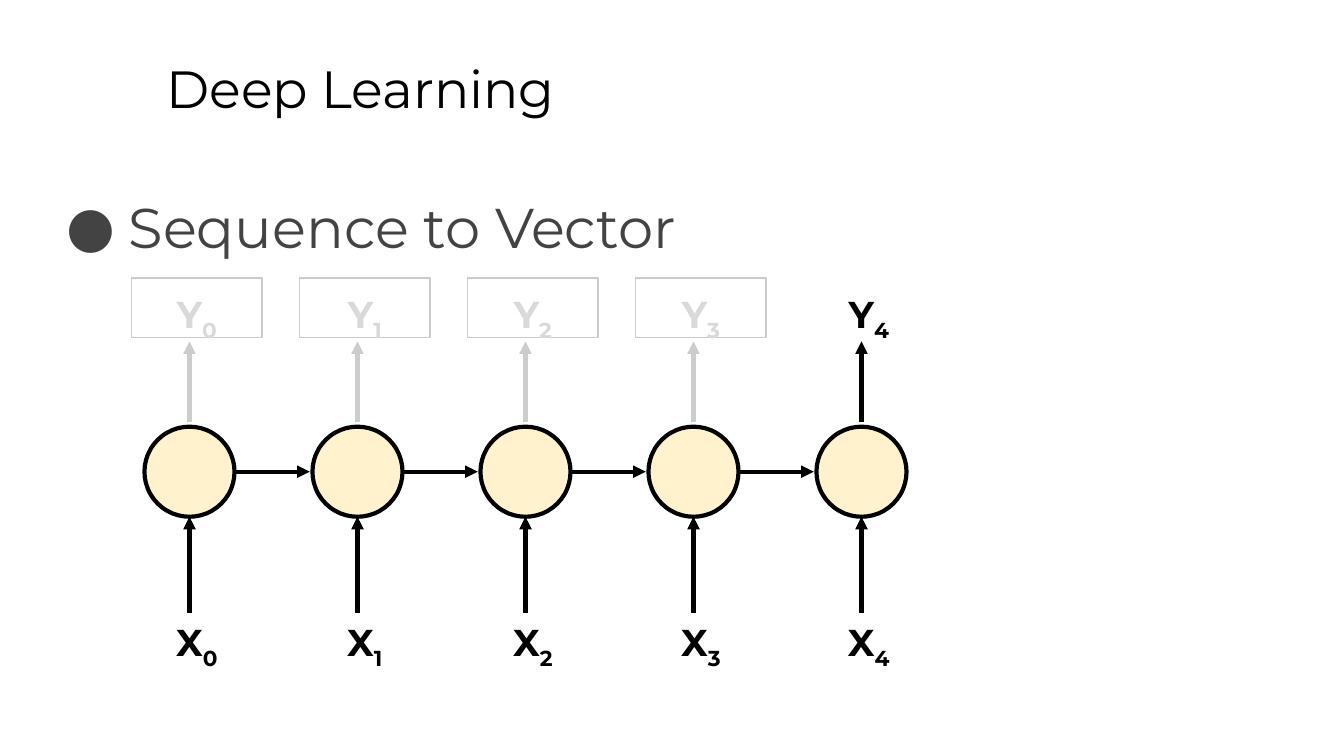
from lxml.etree import SubElement
from pptx import Presentation
from pptx.dml.color import RGBColor
from pptx.enum.shapes import MSO_CONNECTOR, MSO_SHAPE
from pptx.enum.text import MSO_ANCHOR, PP_ALIGN
from pptx.oxml.ns import qn
from pptx.util import Inches, Pt

INK = {"black": "000000", "body": "434343", "node": "FFF2CC",
       "faint": "CCCCCC", "pale": "D9D9D9"}
FONT = "Montserrat"

# Grid: one column per time step, rows from output down to input
STEPS = 5
FIRST, COL = 1.41, 1.25
ROW = {"out": 2.07, "tip": 2.54, "stem": 3.14, "node": 3.51,
       "foot": 4.56, "in": 4.51}
SIZE = 0.67
RADIUS = SIZE / 2
WIDE, HIGH = 0.97, 0.44

deck = Presentation()
deck.slide_width = Inches(10)
deck.slide_height = deck.slide_width * 9 // 16
slide = deck.slides.add_slide(deck.slide_layouts[6])
shapes = slide.shapes


def write(shape, parts, size, color, bold=False):
    """Fill a shape with one paragraph; every part after the first is a subscript."""
    frame = shape.text_frame
    frame.word_wrap = True
    frame.vertical_anchor = MSO_ANCHOR.TOP
    frame.margin_left = frame.margin_right = Inches(0.1)
    frame.margin_top = frame.margin_bottom = Inches(0.1)
    para = frame.paragraphs[0]
    for i, part in enumerate(parts):
        run = para.add_run()
        run.text = part
        run.font.name = FONT
        run.font.size = Pt(size)
        run.font.bold = bold
        run.font.color.rgb = RGBColor.from_string(INK[color])
        if i:
            run.font._element.set("baseline", "-25000")
    return para


def arrow(x1, y1, x2, y2, color="black"):
    line = shapes.add_connector(MSO_CONNECTOR.STRAIGHT, Inches(x1), Inches(y1),
                                Inches(x2), Inches(y2))
    line.line.width = Pt(2.25)
    line.line.color.rgb = RGBColor.from_string(INK[color])
    SubElement(line.line._get_or_add_ln(), qn("a:tailEnd"), type="triangle")
    SubElement(line._element.spPr, qn("a:effectLst"))


# Title and bullet
title = shapes.add_textbox(Inches(1.14), Inches(0.32), Inches(8.52), Inches(0.63))
write(title, ["Deep Learning"], 28, "black")

body = shapes.add_textbox(Inches(0.36), Inches(1.26), Inches(9.52), Inches(0.77))
para = write(body, ["Sequence to Vector"], 30, "body")
para.line_spacing = 1.15
props = para._p.get_or_add_pPr()
props.set("marL", str(Inches(0.5)))
props.set("indent", str(Inches(-0.46)))
tint = SubElement(props, qn("a:buClr"))
SubElement(tint, qn("a:srgbClr"), val=INK["body"])
SubElement(props, qn("a:buFont"), typeface=FONT)
SubElement(props, qn("a:buChar"), char="●")

# Recurrent chain: only the last step keeps its output
for step in range(STEPS):
    mid = FIRST + step * COL
    last = step == STEPS - 1

    node = shapes.add_shape(MSO_SHAPE.OVAL, Inches(mid - RADIUS),
                            Inches(ROW["node"] - RADIUS),
                            Inches(SIZE), Inches(SIZE))
    node.shadow.inherit = False
    node.fill.solid()
    node.fill.fore_color.rgb = RGBColor.from_string(INK["node"])
    node.line.color.rgb = RGBColor.from_string(INK["black"])
    node.line.width = Pt(2.25)

    arrow(mid, ROW["stem"], mid, ROW["tip"], "black" if last else "faint")
    arrow(mid, ROW["foot"], mid, ROW["node"] + RADIUS)
    if not last:
        arrow(mid + RADIUS, ROW["node"], mid + COL - RADIUS - 0.02, ROW["node"])

    for name, row in (("Y", "out"), ("X", "in")):
        spot = (Inches(mid - 0.43), Inches(ROW[row]), Inches(WIDE), Inches(HIGH))
        faded = name == "Y" and not last
        if faded:
            label = shapes.add_shape(MSO_SHAPE.RECTANGLE, *spot)
            label.shadow.inherit = False
            label.fill.background()
            label.line.color.rgb = RGBColor.from_string(INK["faint"])
            label.line.width = Pt(0.75)
        else:
            label = shapes.add_textbox(*spot)
        para = write(label, [name, str(step)], 20, "pale" if faded else "black", True)
        para.alignment = PP_ALIGN.CENTER

deck.save("out.pptx")
